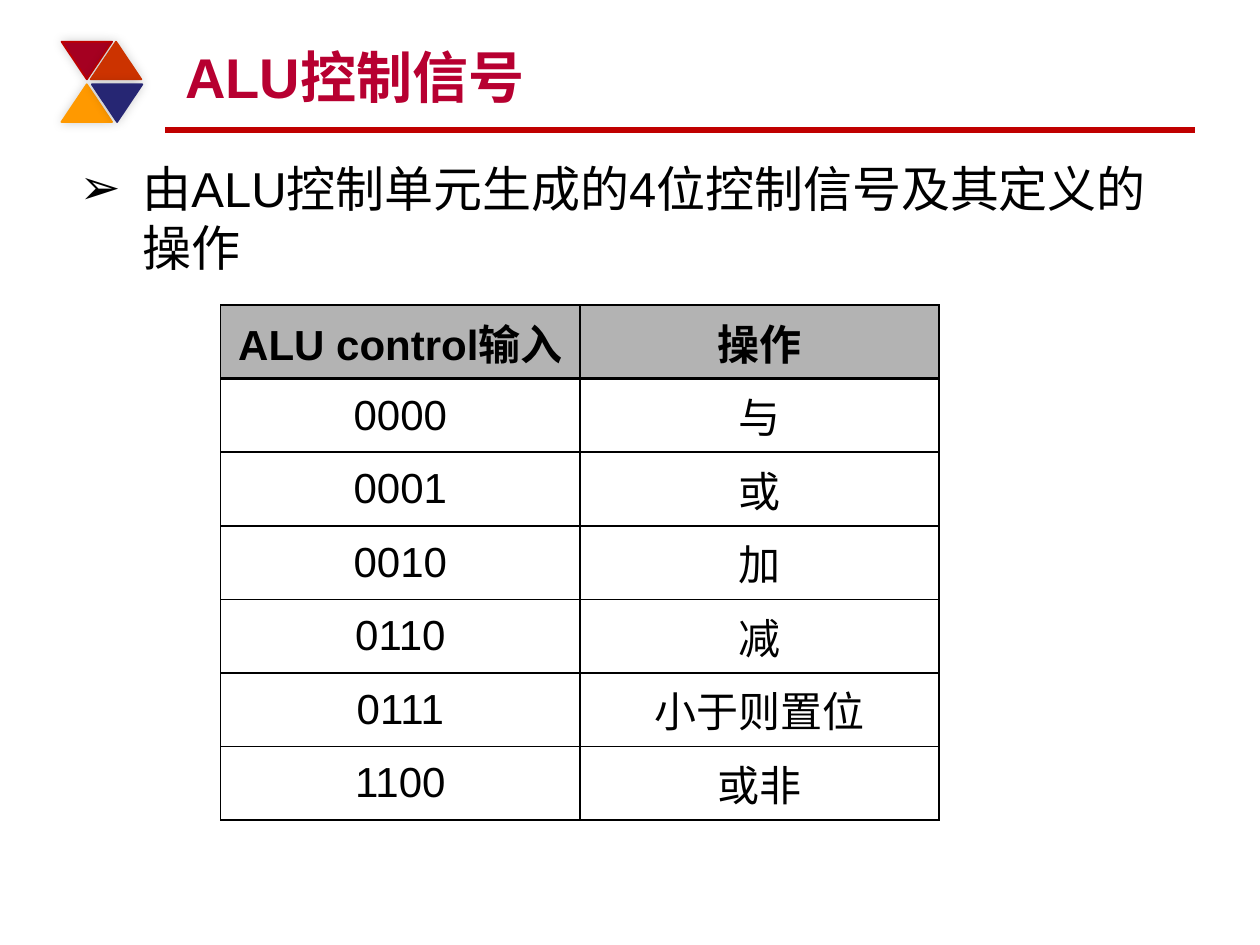
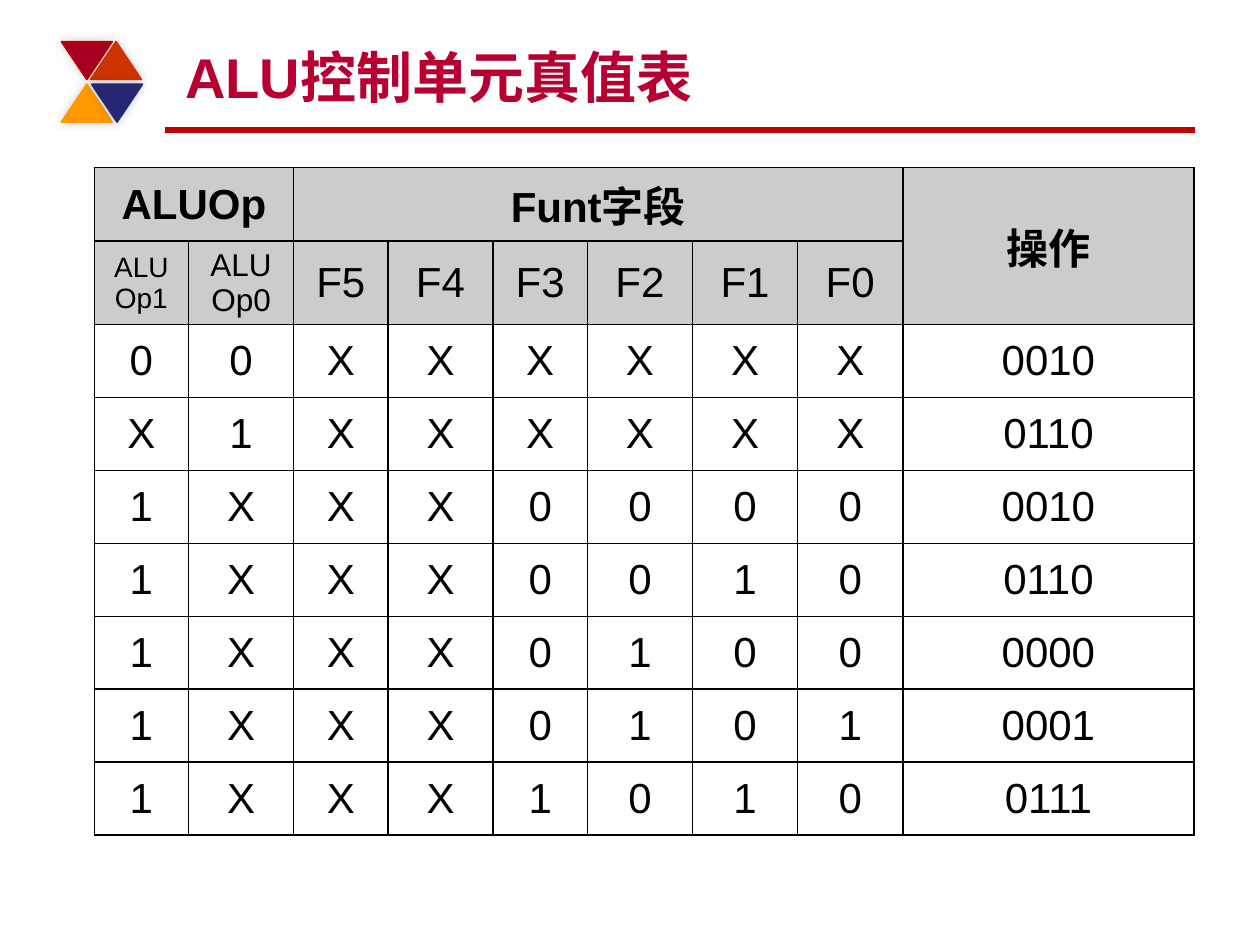
from lxml import etree
from pptx import Presentation
from pptx import util as u
from pptx.dml.color import RGBColor
from pptx.enum import shapes, text
from pptx.oxml import parse_xml
from pptx.oxml.ns import nsdecls, qn

BLACK = RGBColor(0x00, 0x00, 0x00)
WHITE = RGBColor(0xFF, 0xFF, 0xFF)
CRIMSON = RGBColor(0xB7, 0x00, 0x31)
RULE_RED = RGBColor(0xC0, 0x00, 0x00)
DARK_RED = RGBColor(0xA5, 0x00, 0x21)
ORANGE_RED = RGBColor(0xCC, 0x33, 0x00)
AMBER = RGBColor(0xFF, 0x99, 0x00)
NAVY = RGBColor(0x26, 0x26, 0x73)
SIGNAL_GREY = RGBColor(0xB3, 0xB3, 0xB3)
TRUTH_GREY = RGBColor(0xCC, 0xCC, 0xCC)

TRIANGLES = [
    (1.24, 0.84, 180, DARK_RED, RULE_RED),
    (1.83, 0.84, 0, ORANGE_RED, ORANGE_RED),
    (1.24, 1.7, 0, AMBER, AMBER),
    (1.85, 1.7, 180, NAVY, NAVY),
]

SIGNALS = [
    ("ALU control输入", "操作"),
    ("0000", "与"),
    ("0001", "或"),
    ("0010", "加"),
    ("0110", "减"),
    ("0111", "小于则置位"),
    ("1100", "或非"),
]

TRUTH_ROWS = [
    ("ALUOp", "", "Funt字段", "", "", "", "", "", "操作"),
    ("ALU\vOp1", "ALU\vOp0", "F5", "F4", "F3", "F2", "F1", "F0", ""),
    (*"00XXXXXX", "0010"),
    (*"X1XXXXXX", "0110"),
    (*"1XXX0000", "0010"),
    (*"1XXX0010", "0110"),
    (*"1XXX0100", "0000"),
    (*"1XXX0101", "0001"),
    (*"1XXX1010", "0111"),
]


def set_values(target, **values):
    for name, value in values.items():
        setattr(target, name, value)


class Deck:
    font = "Arial"
    title_format = {"size": u.Pt(32), "bold": True}
    list_format = {"size": u.Pt(28), "bold": False}

    def __init__(self):
        self.prs = Presentation()
        set_values(self.prs, slide_width=u.Cm(25.4), slide_height=u.Cm(19.05))
        self.slide = None

    def start(self, heading, layout):
        self.slide = self.prs.slides.add_slide(self.prs.slide_layouts[layout])
        self.rule()
        for triangle in TRIANGLES:
            self.triangle(*triangle)
        title = self.slide.shapes.title
        self.place(title, 3.48, 0.64, 20.32, 1.7, text.MSO_ANCHOR.BOTTOM)
        self.put_text(title.text_frame, heading, CRIMSON, text.PP_ALIGN.LEFT, **self.title_format)

    def place(self, holder, left, top, width, height, anchor):
        set_values(holder, left=u.Cm(left), top=u.Cm(top), width=u.Cm(width), height=u.Cm(height))
        set_values(holder.text_frame, word_wrap=True, vertical_anchor=anchor,
                   auto_size=text.MSO_AUTO_SIZE.NONE)

    def put_text(self, frame, words, color, align, **values):
        paragraph = frame.paragraphs[0]
        paragraph.text = words
        set_values(paragraph, alignment=align, space_before=u.Pt(0))
        for run in paragraph.runs:
            set_values(run.font, name=self.font, **values)
            run.font.color.rgb = color
        return paragraph

    def rule(self):
        line = self.slide.shapes.add_connector(
            shapes.MSO_CONNECTOR.STRAIGHT, u.Cm(3.33), u.Cm(2.62), u.Cm(24.08), u.Cm(2.62))
        line.line.width = u.Pt(3)
        line.line.color.rgb = RULE_RED
        etree.SubElement(line._element.spPr, qn("a:effectLst"))

    def triangle(self, left, top, rotation, fill, edge):
        part = self.slide.shapes.add_shape(
            shapes.MSO_SHAPE.ISOSCELES_TRIANGLE, u.Cm(left), u.Cm(top), u.Cm(1.02), u.Cm(0.76))
        part.rotation = rotation
        part.fill.solid()
        part.fill.fore_color.rgb = fill
        part.line.color.rgb = edge
        part.line.width = u.Pt(1)
        part.shadow.inherit = False
        part._element.spPr.find(qn("a:effectLst")).append(parse_xml(
            f'<a:outerShdw {nsdecls("a")} blurRad="{u.Pt(6)}" dist="0" dir="18900000">'
            '<a:srgbClr val="000000"><a:alpha val="20000"/></a:srgbClr></a:outerShdw>'))

    def bullet(self, words):
        body = self.slide.placeholders[1]
        self.place(body, 1.35, 3.07, 22.73, 15.14, text.MSO_ANCHOR.TOP)
        paragraph = self.put_text(body.text_frame, words, BLACK, text.PP_ALIGN.LEFT,
                                  **self.list_format)
        props = paragraph._p.get_or_add_pPr()
        props.set("marL", str(u.Cm(1.27)))
        props.set("indent", str(-u.Cm(1.27)))
        etree.SubElement(props, qn("a:buFont"), typeface=self.font)
        etree.SubElement(props, qn("a:buChar"), char="➢")

    def border(self, cell, **widths):
        props = cell._tc.get_or_add_tcPr()
        for side in "LRTB":
            props.append(parse_xml(
                f'<a:ln{side} {nsdecls("a")} w="{u.Pt(widths.get(side, 1))}"><a:solidFill>'
                f'<a:srgbClr val="{BLACK}"/></a:solidFill></a:ln{side}>'))

    def table(self, left, top, widths, heights, rows, header_rows, header_fill,
              header_line=1, merges=(), sizes=None):
        grid = self.slide.shapes.add_table(
            len(rows), len(widths), u.Cm(left), u.Cm(top),
            u.Cm(sum(widths)), u.Cm(sum(heights))).table
        set_values(grid, first_row=False, horz_banding=False)
        for column, width in zip(grid.columns, widths):
            column.width = u.Cm(width)
        for row, height in zip(grid.rows, heights):
            row.height = u.Cm(height)
        for first, last in merges:
            grid.cell(*first).merge(grid.cell(*last))
        for r, row in enumerate(rows):
            for c, words in enumerate(row):
                cell = grid.cell(r, c)
                self.border(cell, T=header_line if r == header_rows else 1,
                            B=header_line if r == header_rows - 1 else 1)
                cell.fill.solid()
                cell.fill.fore_color.rgb = header_fill if r < header_rows else WHITE
                cell.vertical_anchor = text.MSO_ANCHOR.MIDDLE
                if words:
                    size = (sizes or {}).get(words, 24)
                    self.put_text(cell.text_frame, words, BLACK, text.PP_ALIGN.CENTER,
                                  size=u.Pt(size), bold=r == 0)


def main():
    deck = Deck()

    deck.start("ALU控制信号", layout=1)
    deck.bullet("由ALU控制单元生成的4位控制信号及其定义的操作")
    deck.table(4.45, 6.15, [7.24] * 2, [1.48] * len(SIGNALS), SIGNALS,
               header_rows=1, header_fill=SIGNAL_GREY, header_line=2)

    deck.start("ALU控制单元真值表", layout=5)
    deck.table(1.9, 3.38, [1.9, 2.12] * 3 + [2.12, 2.12, 5.87],
               [1.47, 1.68] + [1.47] * 7, TRUTH_ROWS,
               header_rows=2, header_fill=TRUTH_GREY,
               merges=[((0, 0), (0, 1)), ((0, 2), (0, 7)), ((0, 8), (1, 8))],
               sizes={"ALU\vOp1": 16, "ALU\vOp0": 18})

    deck.prs.save("out.pptx")


if __name__ == "__main__":
    main()
